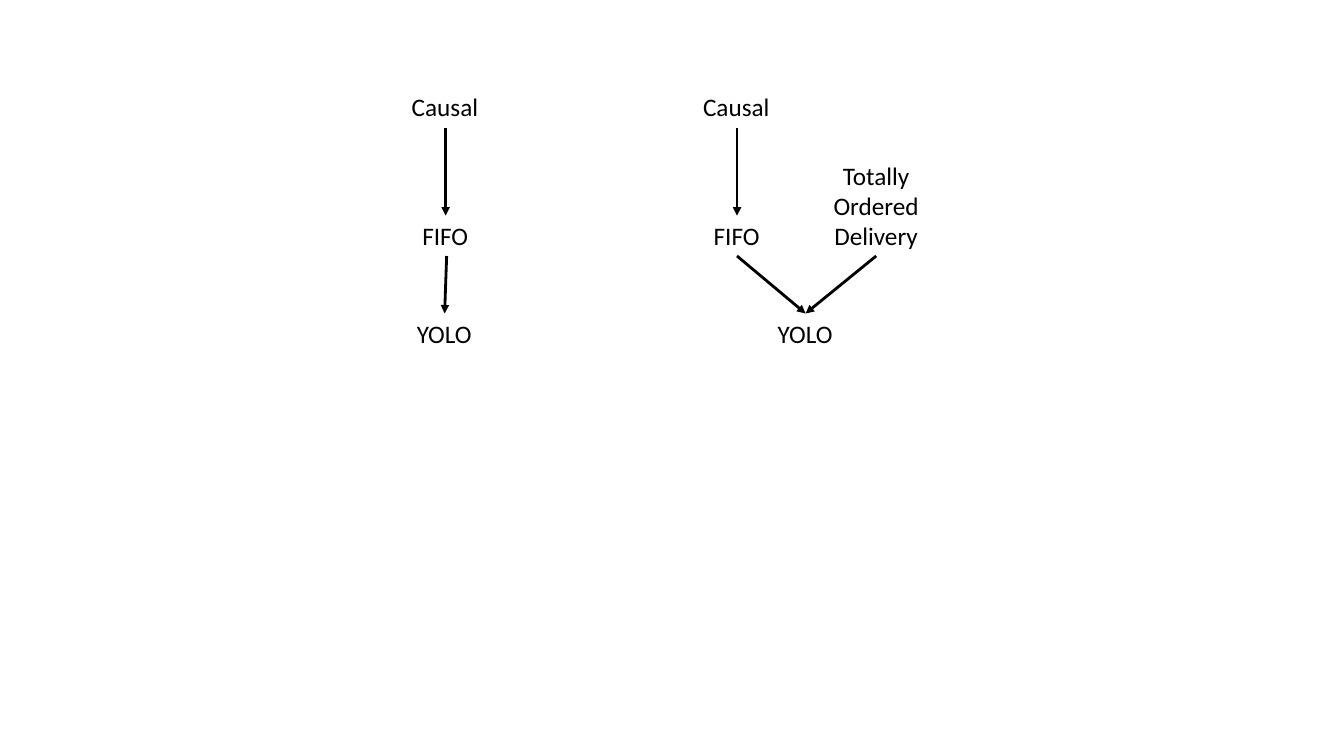
from lxml import etree
from pptx import Presentation
from pptx.dml.color import RGBColor
from pptx.enum.shapes import MSO_CONNECTOR
from pptx.enum.text import MSO_AUTO_SIZE, PP_ALIGN
from pptx.oxml.ns import qn
from pptx.util import Inches, Pt

STRAIGHT = MSO_CONNECTOR.STRAIGHT
FIT_SHAPE = MSO_AUTO_SIZE.SHAPE_TO_FIT_TEXT
LEFT, CENTER = PP_ALIGN.LEFT, PP_ALIGN.CENTER
COLORS = {"ink": "000000"}


class OrderingDiagram:
    """Draws delivery guarantees and the arrows between them on one slide."""

    def __init__(self, slide):
        self.slide = slide
        self.font_name = "Calibri"
        self.font_size = Pt(18)
        self.line_width = Pt(2)
        self.ink = RGBColor.from_string(COLORS["ink"])

    def guarantee(self, wording, left, top, width, height=0.4, align=LEFT):
        label = self.slide.shapes.add_textbox(
            Inches(left), Inches(top), Inches(width), Inches(height))
        frame = label.text_frame
        frame.word_wrap = False
        frame.auto_size = FIT_SHAPE
        paragraph = frame.paragraphs[0]
        paragraph.text = wording
        paragraph.alignment = align
        paragraph.font.name = self.font_name
        paragraph.font.size = self.font_size
        paragraph.font.color.rgb = self.ink

    def arrow(self, start, end):
        points = [Inches(value) for value in (*start, *end)]
        arrow = self.slide.shapes.add_connector(STRAIGHT, *points)
        arrow.line.width = self.line_width
        arrow.line.color.rgb = self.ink
        etree.SubElement(arrow.line._get_or_add_ln(), qn("a:tailEnd"), type="triangle")
        etree.SubElement(arrow._element.spPr, qn("a:effectLst"))


def main():
    presentation = Presentation()
    presentation.slide_width = Inches(13.33)
    presentation.slide_height = Inches(7.5)
    blank_layout = presentation.slide_layouts[6]
    diagram = OrderingDiagram(presentation.slides.add_slide(blank_layout))

    causal_top, fifo_top, yolo_top = 0.86, 2.14, 3.11
    causal_bottom, fifo_bottom = 1.27, 2.54

    for chain_x, fifo_x, yolo_x in ((4.42, 4.43, 4.41), (7.31, 7.31, 7.99)):
        diagram.arrow((chain_x, causal_bottom), (chain_x, fifo_top))
        diagram.guarantee("Causal", chain_x - 0.435, causal_top, 0.87)
        diagram.guarantee("FIFO", chain_x - 0.33, fifo_top, 0.66)
        diagram.arrow((fifo_x, fifo_bottom), (yolo_x, yolo_top))
        diagram.guarantee("YOLO", yolo_x - 0.375, yolo_top, 0.75)

    diagram.arrow((8.69, fifo_bottom), (yolo_x, yolo_top))
    diagram.guarantee("Totally\nOrdered\nDelivery", 8.16, 1.54, 1.06, 1.01, CENTER)

    presentation.save("out.pptx")


if __name__ == "__main__":
    main()
